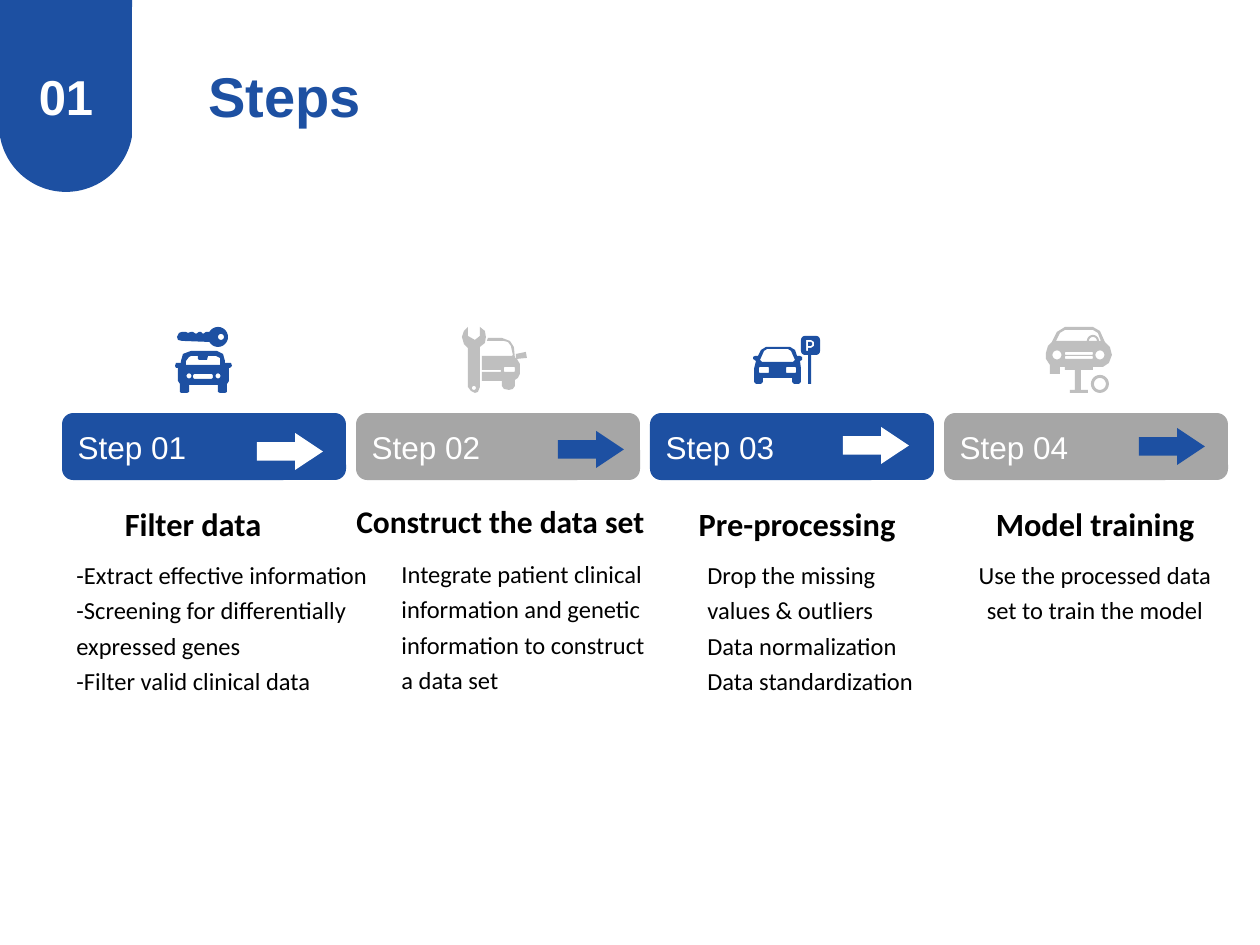
from math import cos, radians, sin

from pptx import Presentation
from pptx.dml.color import RGBColor
from pptx.enum.shapes import MSO_SHAPE
from pptx.enum.text import MSO_ANCHOR, PP_ALIGN
from pptx.util import Pt

PX = 914400 / 126
BLUE, GRAY, SILVER, WHITE, BLACK = "1D50A2", "A6A6A6", "BFBFBF", "FFFFFF", "000000"


def arc(cx, cy, r, start, end, count=24):
    """Points along a circle, angles in degrees clockwise from the right."""
    angles = [radians(start + (end - start) * i / count) for i in range(count + 1)]
    return [(cx + r * cos(a), cy + r * sin(a)) for a in angles]


def circle(cx, cy, r):
    return arc(cx, cy, r, 0, 360)


def rounded(x, y, w, h, r):
    return (arc(x + w - r, y + r, r, -90, 0, 6) + arc(x + w - r, y + h - r, r, 0, 90, 6)
            + arc(x + r, y + h - r, r, 90, 180, 6) + arc(x + r, y + r, r, 180, 270, 6))


# Each icon is a list of contours; a contour inside another is a hole.
CAR_KEY = [
    arc(43, 10, 10, 210, 510) + [
        (7, 14), (3, 13), (2, 10), (4, 6), (7, 5), (11, 5), (13, 6), (16, 5), (18, 5),
        (21, 7), (24, 5), (26, 5), (28, 7), (31, 5)],
    circle(46, 10, 3),
    [(16, 24), (42, 24), (48, 27), (50, 34), (50, 36), (56, 36), (57, 39), (55, 41),
     (54, 41), (54, 54), (52, 57), (52, 65), (50, 66), (45, 66), (43, 65), (43, 58),
     (14, 58), (14, 65), (12, 66), (6, 66), (5, 65), (5, 57), (3, 54), (3, 41),
     (1, 41), (0, 39), (1, 36), (6, 36), (6, 34), (8, 27)],
    [(11, 38), (11, 34), (14, 30), (16, 29), (23, 29), (23, 32), (24, 33), (32, 33),
     (33, 29), (41, 29), (45, 31), (45, 38)],
    rounded(18, 47, 20, 5, 2), circle(14, 49, 2.5), circle(43, 49, 2.5),
]
CAR_WRENCH = [
    [(6, 0), (6, 9), (13, 13), (18, 9), (18, 0), (23, 4), (24, 10), (23, 16), (18, 20),
     (18, 60), (16, 65), (13, 66), (9, 64), (6, 60), (6, 21), (2, 17), (0, 10), (2, 4)],
    circle(12, 61, 2),
    [(26, 11), (40, 11), (48, 14), (52, 20), (53, 31), (54, 31), (54, 27), (64, 25),
     (65, 31), (55, 32), (58, 37), (58, 47), (56, 51), (53, 53), (53, 59), (51, 62),
     (47, 63), (42, 62), (40, 59), (40, 54), (20, 54), (20, 45), (39, 45), (39, 43),
     (20, 43), (20, 29), (50, 29), (51, 28), (49, 19), (46, 15), (42, 14), (25, 14)],
    rounded(42, 40, 11, 5, 1),
]
CAR_PARKING = [
    [(13, 11), (37, 11), (42, 14), (44, 20), (47, 20), (49, 21), (49, 24), (47, 25),
     (48, 33), (48, 46), (46, 48), (41, 48), (39, 46), (39, 42), (10, 42), (10, 46),
     (8, 48), (3, 48), (1, 46), (1, 33), (3, 25), (0, 23), (0, 21), (2, 20), (5, 20),
     (8, 14)],
    [(14, 13), (35, 13), (38, 15), (42, 24), (40, 26), (9, 26), (7, 24), (11, 15)],
    rounded(6, 31, 10, 6, 1), rounded(33, 31, 10, 6, 1),
    rounded(48, 0, 19, 19, 4),
    [(55, 19), (58, 19), (58, 48), (55, 48)],
    [(53, 4), (58, 4), (61, 6), (61, 10), (58, 12), (55, 12), (55, 15), (53, 15)],
    [(55, 6), (58, 6), (59, 7), (59, 9), (58, 10), (55, 10)],
]
CAR_LIFT = [
    [(19, 0), (47, 0), (54, 4), (59, 15), (64, 20), (66, 28), (63, 36), (57, 40),
     (47, 40), (47, 43), (35, 43), (35, 63), (42, 63), (42, 66), (24, 66), (24, 63),
     (29, 63), (29, 43), (19, 43), (19, 40), (14, 40), (14, 47), (4, 47), (4, 38),
     (0, 32), (0, 26), (2, 19), (6, 15), (11, 5)],
    [(10, 14), (14, 6), (19, 3), (47, 3), (52, 6), (55, 14)] + arc(47, 14, 6, 0, -180),
    arc(47, 14, 4, 180, 360),
    circle(11, 28, 4.5), circle(54, 28, 4.5),
    rounded(19, 25, 28, 3, 1), rounded(19, 29, 28, 3, 1),
    circle(54, 57, 9), circle(54, 57, 6),
]

STEPS = [
    dict(bar=BLUE, arrow=(257, 433, WHITE), icon=(CAR_KEY, 175, 327, BLUE),
         heading=("Filter data", 18.5, (64, 500, 258, 48)),
         body=["-Extract effective information",
               "-Screening for differentially expressed genes",
               "-Filter valid clinical data"],
         body_box=(64, 548, 369, 170), align=PP_ALIGN.LEFT),
    dict(bar=GRAY, arrow=(558, 431, BLUE), icon=(CAR_WRENCH, 462, 327, SILVER),
         heading=("Construct the data set", 18, (330, 504, 341, 34)),
         body=["Integrate patient clinical information and genetic information "
               "to construct a data set"],
         body_box=(389, 547, 271, 124), align=PP_ALIGN.LEFT),
    dict(bar=BLUE, arrow=(843, 427, WHITE), icon=(CAR_PARKING, 753, 336, BLUE),
         heading=("Pre-processing", 18.5, (668, 500, 258, 48)),
         body=["Drop the missing values & outliers", "Data normalization",
               "Data standardization"],
         body_box=(695, 548, 241, 170), align=PP_ALIGN.LEFT),
    dict(bar=GRAY, arrow=(1139, 428, BLUE), icon=(CAR_LIFT, 1046, 327, SILVER),
         heading=("Model training", 18.5, (966, 500, 258, 48)),
         body=["Use the processed data set to train the model"],
         body_box=(966, 548, 258, 62), align=PP_ALIGN.CENTER),
]
BAR_LEFT, BAR_TOP, BAR_WIDTH, BAR_HEIGHT, BAR_STEP = 62, 413, 284, 67, 294


def emu(*lengths):
    return [round(length * PX) for length in lengths]


def color(value):
    return RGBColor.from_string(value)


def paint(shape, fill):
    shape.shadow.inherit = False
    shape.fill.solid()
    shape.fill.fore_color.rgb = color(fill)
    shape.line.fill.background()
    return shape


def write(shape, lines, size, font, ink, bold=False, align=PP_ALIGN.LEFT,
          anchor=MSO_ANCHOR.MIDDLE, spacing=1.0):
    frame = shape.text_frame
    frame.text = "\n".join(lines)
    frame.word_wrap = True
    frame.vertical_anchor = anchor
    for paragraph in frame.paragraphs:
        paragraph.alignment = align
        paragraph.line_spacing = spacing
        for run in paragraph.runs:
            run.font.size = Pt(size)
            run.font.name = font
            run.font.bold = bold
            run.font.color.rgb = color(ink)


def add_outline(shapes, contours, left, top, fill):
    placed = [[emu(left + x, top + y) for x, y in contour] for contour in contours]
    builder = shapes.build_freeform(*placed[0][0], scale=1.0)
    for contour in placed:
        builder.move_to(*contour[0])
        builder.add_line_segments(contour[1:], close=True)
    return paint(builder.convert_to_shape(), fill)


def add_step(shapes, index, step):
    bar = shapes.add_shape(
        MSO_SHAPE.ROUNDED_RECTANGLE,
        *emu(BAR_LEFT + index * BAR_STEP, BAR_TOP, BAR_WIDTH, BAR_HEIGHT))
    paint(bar, step["bar"])
    write(bar, [f"Step {index + 1:02}"], 18, "Arial", WHITE)

    left, top, fill = step["arrow"]
    arrow = paint(shapes.add_shape(MSO_SHAPE.RIGHT_ARROW, *emu(left, top, 66, 37)), fill)
    arrow.adjustments[1] = 0.75

    write(shapes.add_textbox(*emu(*step["body_box"])), step["body"], 14, "Calibri", BLACK,
          align=step["align"], anchor=MSO_ANCHOR.TOP, spacing=1.2)
    heading, size, box = step["heading"]
    write(shapes.add_textbox(*emu(*box)), [heading], size, "Calibri", BLACK,
          bold=True, align=PP_ALIGN.CENTER)
    add_outline(shapes, *step["icon"])


def main():
    deck = Presentation()
    deck.slide_width, deck.slide_height = emu(1260, 945)
    shapes = deck.slides.add_slide(deck.slide_layouts[5]).shapes

    title = shapes.title
    title.left, title.top, title.width, title.height = emu(121, 55, 328, 81)
    write(title, ["Steps"], 32, "Arial", BLUE, bold=True, align=PP_ALIGN.CENTER,
          anchor=MSO_ANCHOR.TOP)

    tab_outline = [(0, 0), (132, 0)] + arc(66, 125, 67, 10, 170, 48)
    tab = add_outline(shapes, [tab_outline], 0, 0, BLUE)
    write(tab, ["01"], 28, "Arial", WHITE, bold=True, align=PP_ALIGN.CENTER)

    for index, step in enumerate(STEPS):
        add_step(shapes, index, step)
    deck.save("out.pptx")


if __name__ == "__main__":
    main()
